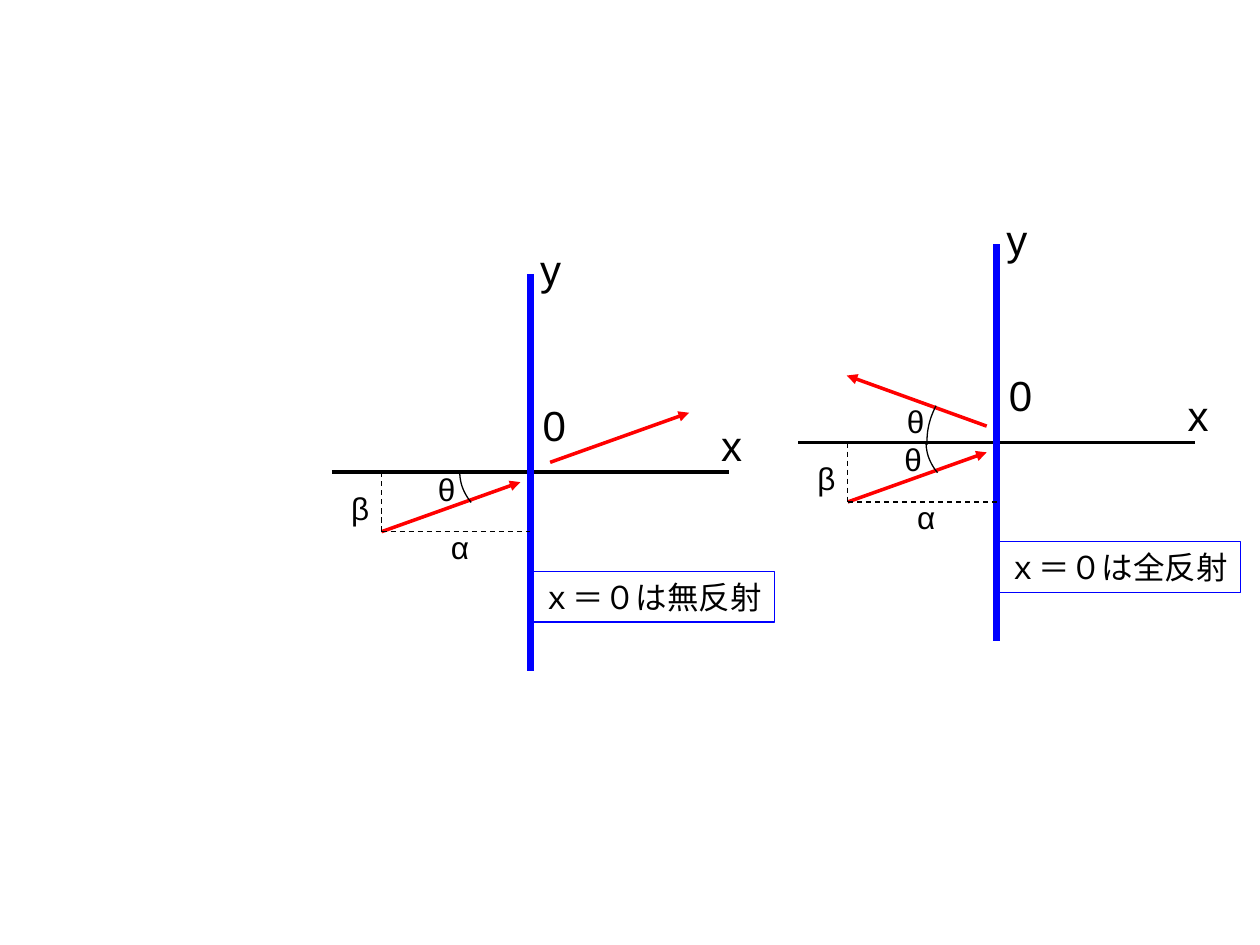
from dataclasses import dataclass

from lxml import etree
from pptx import Presentation
from pptx.dml.color import RGBColor
from pptx.enum.dml import MSO_LINE
from pptx.enum.shapes import MSO_CONNECTOR, MSO_SHAPE
from pptx.enum.text import MSO_ANCHOR, MSO_AUTO_SIZE, PP_ALIGN
from pptx.oxml.ns import qn
from pptx.util import Cm, Pt

STRAIGHT = MSO_CONNECTOR.STRAIGHT
RECT = MSO_SHAPE.RECTANGLE
DASH = MSO_LINE.DASH
LEFT = PP_ALIGN.LEFT


@dataclass
class Theme:
    ink: RGBColor = RGBColor(0, 0, 0)
    ray: RGBColor = RGBColor(255, 0, 0)
    wall: RGBColor = RGBColor(0, 0, 255)
    font: str = "Arial"
    big: Pt = Pt(24)
    small: Pt = Pt(18)


theme = Theme()
FRAME = {
    "word_wrap": False,
    "auto_size": MSO_AUTO_SIZE.SHAPE_TO_FIT_TEXT,
    "vertical_anchor": MSO_ANCHOR.TOP,
    "margin_left": Cm(0.25),
    "margin_right": Cm(0.25),
    "margin_top": Cm(0.13),
    "margin_bottom": Cm(0.13),
}
PENS = {
    "axis": {"color": theme.ink, "width": Pt(2)},
    "wall": {"color": theme.wall, "width": Pt(4)},
    "ray": {"color": theme.ray, "width": Pt(2)},
    "dash": {"color": theme.ink, "width": Pt(0.75), "dash_style": DASH},
    "arc": {"color": theme.ink, "width": Pt(0.75)},
    "box": {"color": theme.wall, "width": Pt(0.75)},
}


def draw(line, pen):
    for key, val in PENS[pen].items():
        if key == "color":
            line.color.rgb = val
        else:
            setattr(line, key, val)


def write(shape, text, size):
    frame = shape.text_frame
    for key, val in FRAME.items():
        setattr(frame, key, val)
    para = frame.paragraphs[0]
    para.alignment = LEFT
    run = para.add_run()
    run.text = text
    run.font.name, run.font.size = theme.font, size
    run.font.color.rgb = theme.ink


# All places are in cm from the origin of each plot, y pointing down.
LINES = [
    ("axis", -4, 0, 4, 0),
    ("wall", 0, -4, 0, 4),
    ("ray", -3, 1.2, -0.2, 0.2),
    ("dash", -3, 0, -3, 1.2),
    ("dash", -3, 1.2, 0, 1.2),
]
LABELS = [
    ("0", 0, -1.6, 0.79, theme.big),
    ("x", 3.6, -1.2, 0.91, theme.big),
    ("y", -0.05, -4.75, 0.91, theme.big),
    ("α", -1.85, 1, 0.86, theme.small),
    ("β", -3.86, 0.2, 0.86, theme.small),
    ("θ", -2.11, -0.17, 0.86, theme.small),
]
# Each arc is start, control and end of a quadratic curve.
ARCS = [((-1.42, 0), (-1.42, 0.33), (-1.19, 0.61))]
STEPS = 12

deck = Presentation()
deck.slide_width, deck.slide_height = Cm(25.4), Cm(19.05)
slide = deck.slides.add_slide(deck.slide_layouts[6])

PLOTS = [
    {
        "home": slide.shapes.add_group_shape().shapes,
        "zero": (10.69, 9.52),
        "note": "ｘ＝０は無反射",
        "lines": [("ray", 0.4, -0.2, 3.2, -1.2)],
        "labels": [],
        "arcs": [],
    },
    {
        "home": slide.shapes,
        "zero": (20.09, 8.92),
        "note": "ｘ＝０は全反射",
        "lines": [("ray", -0.2, -0.33, -3.02, -1.35)],
        "labels": [("θ", -2.06, -0.94, 0.86, theme.small)],
        "arcs": [((-1.4, 0.05), (-1.42, -0.35), (-1.22, -0.74))],
    },
]

for plot in PLOTS:
    home = plot["home"]
    left, top = plot["zero"]

    for pen, x1, y1, x2, y2 in plot["lines"] + LINES:
        line = home.add_connector(
            STRAIGHT, Cm(left + x1), Cm(top + y1), Cm(left + x2), Cm(top + y2)
        )
        draw(line.line, pen)
        props = line._element.spPr
        if pen == "ray":
            tail = etree.SubElement(props.find(qn("a:ln")), qn("a:tailEnd"))
            tail.set("type", "triangle")
        etree.SubElement(props, qn("a:effectLst"))

    for text, x, y, wide, size in LABELS + plot["labels"]:
        high = 1.27 if size == theme.big else 1.02
        label = home.add_textbox(Cm(left + x), Cm(top + y), Cm(wide), Cm(high))
        write(label, text, size)

    for start, bend, end in ARCS + plot["arcs"]:
        dots = []
        for step in range(STEPS + 1):
            t = step / STEPS
            x, y = (
                (1 - t) ** 2 * a + 2 * t * (1 - t) * b + t**2 * c
                for a, b, c in zip(start, bend, end)
            )
            dots.append((Cm(left + x), Cm(top + y)))
        path = home.build_freeform(*dots[0])
        path.add_line_segments(dots[1:], close=False)
        arc = path.convert_to_shape()
        arc.shadow.inherit = False
        arc.fill.background()
        draw(arc.line, "arc")

    box = home.add_shape(RECT, Cm(left - 0.03), Cm(top + 2), Cm(4.95), Cm(1.02))
    box.shadow.inherit = False
    box.fill.background()
    draw(box.line, "box")
    write(box, plot["note"], theme.small)

deck.save("out.pptx")
